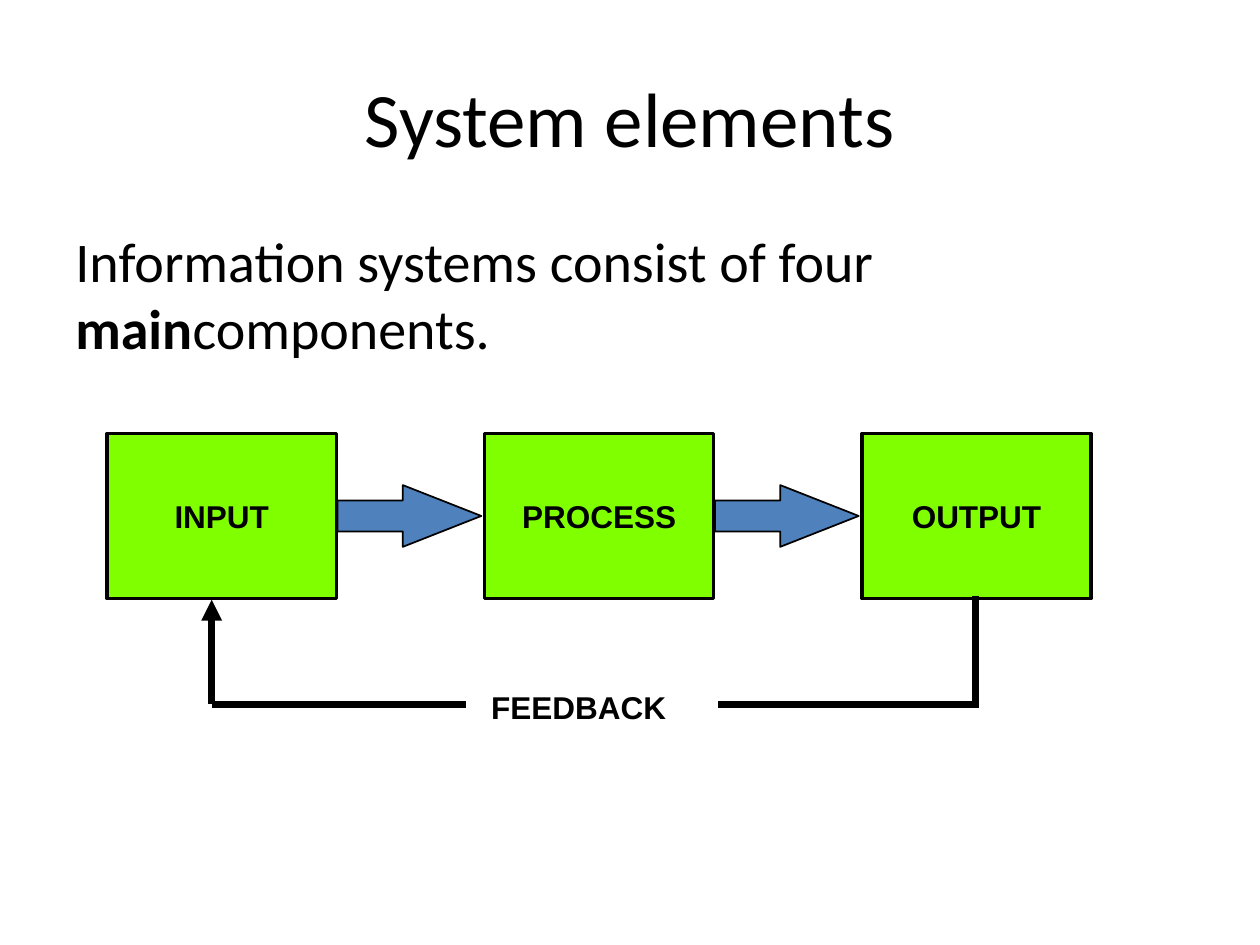
from dataclasses import dataclass

import pptx
import pptx.dml.color
import pptx.enum.shapes
import pptx.enum.text
import pptx.oxml.ns
import pptx.util
from lxml import etree

ALIGN = pptx.enum.text.PP_ALIGN
ANCHOR = pptx.enum.text.MSO_ANCHOR
SHAPE = pptx.enum.shapes.MSO_SHAPE


@dataclass(frozen=True)
class Theme:
    ink: str = "000000"
    box: str = "7FFF00"
    arrow: str = "4F81BD"
    heading_font: str = "Calibri"
    label_font: str = "Arial"
    title: int = 44
    body: int = 32
    label: int = 18


def color(value):
    return pptx.dml.color.RGBColor.from_string(value)


class Deck:
    """Draws on a grid of 100 columns by 75 rows, each a tenth of an inch."""

    COLS, ROWS = 100, 75

    def __init__(self, theme):
        self.theme = theme
        self.prs = pptx.Presentation()
        self.prs.slide_width = pptx.util.Inches(10)
        self.prs.slide_height = pptx.util.Inches(7.5)
        self.s = self.prs.slides.add_slide(self.prs.slide_layouts[6])

    def place(self, *lengths):
        """Turn alternating column and row lengths into slide units."""
        steps = (self.prs.slide_width / self.COLS, self.prs.slide_height / self.ROWS)
        return [round(v * steps[i % 2]) for i, v in enumerate(lengths)]

    def set_text(self, sp, runs, size, font, bold=None, align=ALIGN.LEFT,
                 anchor=ANCHOR.TOP, wrap=True):
        """Fill a shape with one paragraph of (text, bold) runs."""
        tf = sp.text_frame
        tf.word_wrap = wrap
        tf.vertical_anchor = anchor
        p = tf.paragraphs[0]
        p.alignment = align
        p.font.size = pptx.util.Pt(size)
        p.font.name = font
        p.font.bold = bold
        p.font.color.rgb = color(self.theme.ink)
        for text, run_bold in runs:
            r = p.add_run()
            r.text = text
            r.font.bold = run_bold

    def text(self, at, runs, size, font, **style):
        sp = self.s.shapes.add_textbox(*self.place(*at))
        self.set_text(sp, runs, size, font, **style)

    def shape(self, kind, at, fill, width):
        sp = self.s.shapes.add_shape(kind, *self.place(*at))
        sp.shadow.inherit = False
        sp.fill.solid()
        sp.fill.fore_color.rgb = color(fill)
        sp.line.color.rgb = color(self.theme.ink)
        sp.line.width = pptx.util.Pt(width)
        return sp

    def box(self, at, label):
        sp = self.shape(SHAPE.RECTANGLE, at, self.theme.box, 2)
        self.set_text(sp, [(label, None)], self.theme.label, self.theme.label_font,
                      bold=True, align=ALIGN.CENTER, anchor=ANCHOR.MIDDLE, wrap=False)

    def block_arrow(self, at):
        sp = self.shape(SHAPE.RIGHT_ARROW, at, self.theme.arrow, 1)
        sp.adjustments[0] = 0.5
        sp.adjustments[1] = 1.27

    def line(self, start, end, arrow_at_start=False):
        sp = self.s.shapes.add_connector(
            pptx.enum.shapes.MSO_CONNECTOR.STRAIGHT, *self.place(*start, *end))
        sp.line.color.rgb = color(self.theme.ink)
        sp.line.width = pptx.util.Pt(4)
        qn = pptx.oxml.ns.qn
        sp_pr = sp._element.spPr
        if arrow_at_start:
            etree.SubElement(sp_pr.find(qn("a:ln")), qn("a:headEnd"), type="triangle")
        etree.SubElement(sp_pr, qn("a:effectLst"))


def main():
    theme = Theme()
    deck = Deck(theme)
    deck.text((5, 3, 90, 12.5), [("System elements", None)], theme.title,
              theme.heading_font, align=ALIGN.CENTER, anchor=ANCHOR.MIDDLE)
    deck.text((5, 17.5, 90, 49.5),
              [("Information systems consist of four ", None), ("main", True),
               ("components.", None)], theme.body, theme.heading_font)

    left, top, width, height, pitch = 8.5, 34.4, 18.2, 13.1, 29.95
    stages = ["INPUT", "PROCESS", "OUTPUT"]
    for i, label in enumerate(stages):
        deck.box((left + i * pitch, top, width, height), label)
    for i in range(len(stages) - 1):
        deck.block_arrow((left + width + 0.1 + i * pitch, 38.5, 11.4, 4.9))

    deck.text((38, 54.1, 20.5, 5), [("FEEDBACK", None)], theme.label,
              theme.label_font, bold=True)
    input_x, output_x, loop_y, bottom = 16.8, 77.4, 55.9, top + height
    deck.line((57, loop_y), (output_x - 0.2, loop_y))
    deck.line((output_x, loop_y + 0.3), (output_x, bottom - 0.2))
    deck.line((input_x, bottom + 0.1), (input_x, loop_y), arrow_at_start=True)
    deck.line((input_x, loop_y), (37, loop_y))
    deck.prs.save("out.pptx")


if __name__ == "__main__":
    main()
